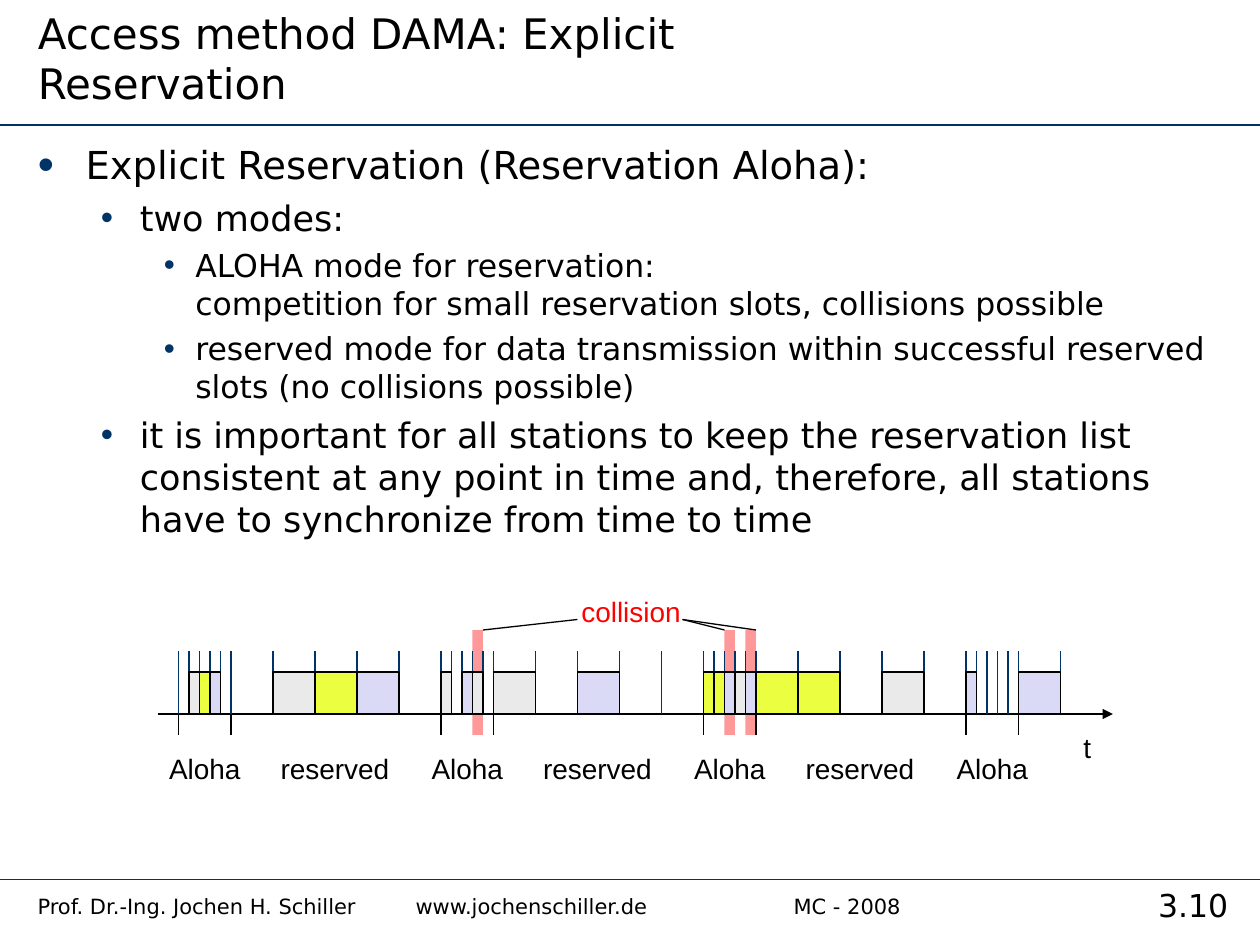
from lxml import etree
from pptx import Presentation, util as u
from pptx.dml.color import RGBColor
from pptx.enum import shapes, text
from pptx.oxml import ns

COLUMNS, ROWS = 120, 90
COLORS = {"text": "000000", "rule": "003366", "alarm": "FF0000", "crash": "FF9999",
          "G": "EAEAEA", "Y": "ECFE40", "P": "DADAF6"}

# Text size, left margin, hanging indent and space before for each list level
LEVELS = [(22, 0.38, 0.38, 5.5), (20, 0.81, 0.31, 5), (18, 1.25, 0.25, 4.5)]
POINTS = [
    (0, "Explicit Reservation (Reservation Aloha):"),
    (1, "two modes:"),
    (2, "ALOHA mode for reservation:\vcompetition for small reservation slots, "
        "collisions possible"),
    (2, "reserved mode for data transmission within successful reserved slots "
        "(no collisions possible)"),
    (1, "it is important for all stations to keep the reservation list consistent at "
        "any point in time and, therefore, all stations have to synchronize from time to time"),
]

# Each frame: small Aloha slots, then wide reserved slots; a dot is an unused slot
FRAMES = [(".GYP.", ".GYP."), ("G.PG.", "G.P.."), ("YYPGP", "YY.G."), ("P....", "P")]
FIRST, ALOHA, RESERVED = 17, 1, 4
FRAME = 5 * (ALOHA + RESERVED)
CRASHES = [45, 69, 71]
CRASH_TOP, TICK_TOP, SLOT_TOP, AXIS, MARK_END = 60, 62, 64, 68, 70


def add_xml(parent, tag, **attributes):
    return etree.SubElement(parent, ns.qn(tag), **attributes)


class Canvas:
    """Holds the style and the current slide; lengths are grid columns and rows."""

    def __init__(self, deck, page):
        self.page = page
        self.column = deck.slide_width / COLUMNS
        self.row = deck.slide_height / ROWS

    def place(self, left, top, width, height):
        return (round(left * self.column), round(top * self.row),
                round(width * self.column), round(height * self.row))

    def color(self, name):
        return RGBColor.from_string(COLORS[name])

    def format(self, para, size, font="DejaVu Sans", color="text"):
        for span in para.runs:
            span.font.size = u.Pt(size)
            span.font.name = font
            span.font.color.rgb = self.color(color)

    def move(self, holder, *area):
        holder.left, holder.top, holder.width, holder.height = self.place(*area)
        holder.text_frame.auto_size = text.MSO_AUTO_SIZE.NONE
        return holder.text_frame

    def title(self, words, *area):
        frame = self.move(self.page.shapes.title, *area)
        frame.vertical_anchor = text.MSO_ANCHOR.BOTTOM
        frame.text = words
        frame.paragraphs[0].alignment = text.PP_ALIGN.LEFT
        self.format(frame.paragraphs[0], 24)

    def points(self, items, *area):
        frame = self.move(self.page.placeholders[1], *area)
        for index, (level, words) in enumerate(items):
            para = frame.add_paragraph() if index else frame.paragraphs[0]
            para.text = words
            para.level = level
            size, margin, hang, before = LEVELS[level]
            properties = para._p.get_or_add_pPr()
            properties.set("marL", str(u.Inches(margin)))
            properties.set("indent", str(-u.Inches(hang)))
            add_xml(add_xml(properties, "a:buClr"), "a:srgbClr", val=COLORS["rule"])
            add_xml(properties, "a:buSzPct", val="100000" if level else "120000")
            add_xml(properties, "a:buChar", char="•")
            para.space_before = u.Pt(before if index else 0)
            self.format(para, size)

    def words(self, words, size, *area, tabs=(), align=text.PP_ALIGN.LEFT):
        frame = self.page.shapes.add_textbox(*self.place(*area)).text_frame
        frame.word_wrap = True
        para = frame.paragraphs[0]
        para.text = words
        if tabs:
            stops = add_xml(para._p.get_or_add_pPr(), "a:tabLst")
            for inch in tabs:
                add_xml(stops, "a:tab", pos=str(u.Inches(inch)), algn="l")
        para.alignment = align
        self.format(para, size)

    def label(self, words, center, top, width, color="text"):
        box = self.page.shapes.add_textbox(*self.place(center - width / 2, top, width, 4.4))
        frame = box.text_frame
        frame.word_wrap = False
        frame.auto_size = text.MSO_AUTO_SIZE.SHAPE_TO_FIT_TEXT
        frame.vertical_anchor = text.MSO_ANCHOR.MIDDLE
        frame.text = words
        frame.paragraphs[0].alignment = text.PP_ALIGN.CENTER
        self.format(frame.paragraphs[0], 16, "Arial", color)

    def block(self, fill, *area, outlined=True):
        block = self.page.shapes.add_shape(shapes.MSO_SHAPE.RECTANGLE, *self.place(*area))
        block.shadow.inherit = False
        block.fill.solid()
        block.fill.fore_color.rgb = self.color(fill)
        if outlined:
            block.line.color.rgb = self.color("text")
            block.line.width = u.Pt(0.75)
        else:
            block.line.fill.background()

    def line(self, x1, y1, x2, y2, color="text", width=0.75, arrow=False):
        line = self.page.shapes.add_connector(
            shapes.MSO_CONNECTOR.STRAIGHT, *self.place(x1, y1, x2, y2))
        line.line.color.rgb = self.color(color)
        line.line.width = u.Pt(width)
        if arrow:
            add_xml(line.line._get_or_add_ln(), "a:tailEnd", type="triangle")
        add_xml(line._element.spPr, "a:effectLst")


def list_slots():
    """Return the kind, left column and width of every slot."""
    slots, x = [], FIRST
    for small, wide in FRAMES:
        for kinds, width in ((small, ALOHA), (wide, RESERVED)):
            for kind in kinds:
                slots.append((kind, x, width))
                x += width
    return slots


def draw_timeline(canvas):
    slots = list_slots()
    for x in CRASHES:
        canvas.block("crash", x, CRASH_TOP, ALOHA, MARK_END - CRASH_TOP, outlined=False)
    canvas.line(15, AXIS, 106, AXIS, arrow=True)
    for x in [FIRST] + [left + width for _, left, width in slots]:
        canvas.line(x, TICK_TOP, x, AXIS, "rule")
    for index in range(len(FRAMES)):
        start = FIRST + index * FRAME
        switch = start + 5 * ALOHA
        for edge in (start, switch):
            canvas.line(edge, AXIS, edge, MARK_END)
        canvas.label("Aloha", (start + switch) / 2, 71, 10)
        if index < len(FRAMES) - 1:
            canvas.label("reserved", switch + 9.9, 71, 13.2)
    for kind, x, width in slots:
        if kind != ".":
            canvas.block(kind, x, SLOT_TOP, width, AXIS - SLOT_TOP)
    canvas.label("collision", 60.1, 56, 12.4, "alarm")
    for x1, x2 in [(55, 46), (65, 69), (65, 72)]:
        canvas.line(x1, 59, x2, CRASH_TOP)
    canvas.label("t", 103.56, 69, 3.6)


def main():
    deck = Presentation()
    deck.slide_width, deck.slide_height = u.Inches(10), u.Inches(7.5)
    canvas = Canvas(deck, deck.slides.add_slide(deck.slide_layouts[1]))
    for y in (11.88, 83.76):
        canvas.line(0, y, COLUMNS, y, "rule", 1)
    canvas.words("3.10", 18, 107.28, 83.76, 12.72, 5.28, align=text.PP_ALIGN.CENTER)
    canvas.words("Prof. Dr.-Ing. Jochen H. Schiller\twww.jochenschiller.de\t\tMC - 2008",
                 12, 2.4, 84.48, 104.88, 3.96, tabs=range(8))
    canvas.title("Access method DAMA: Explicit Reservation", 2.4, 0, 79.32, 10.92)
    canvas.points(POINTS, 2.4, 12.84, 115.32, 70.2)
    draw_timeline(canvas)
    deck.save("out.pptx")


if __name__ == "__main__":
    main()
